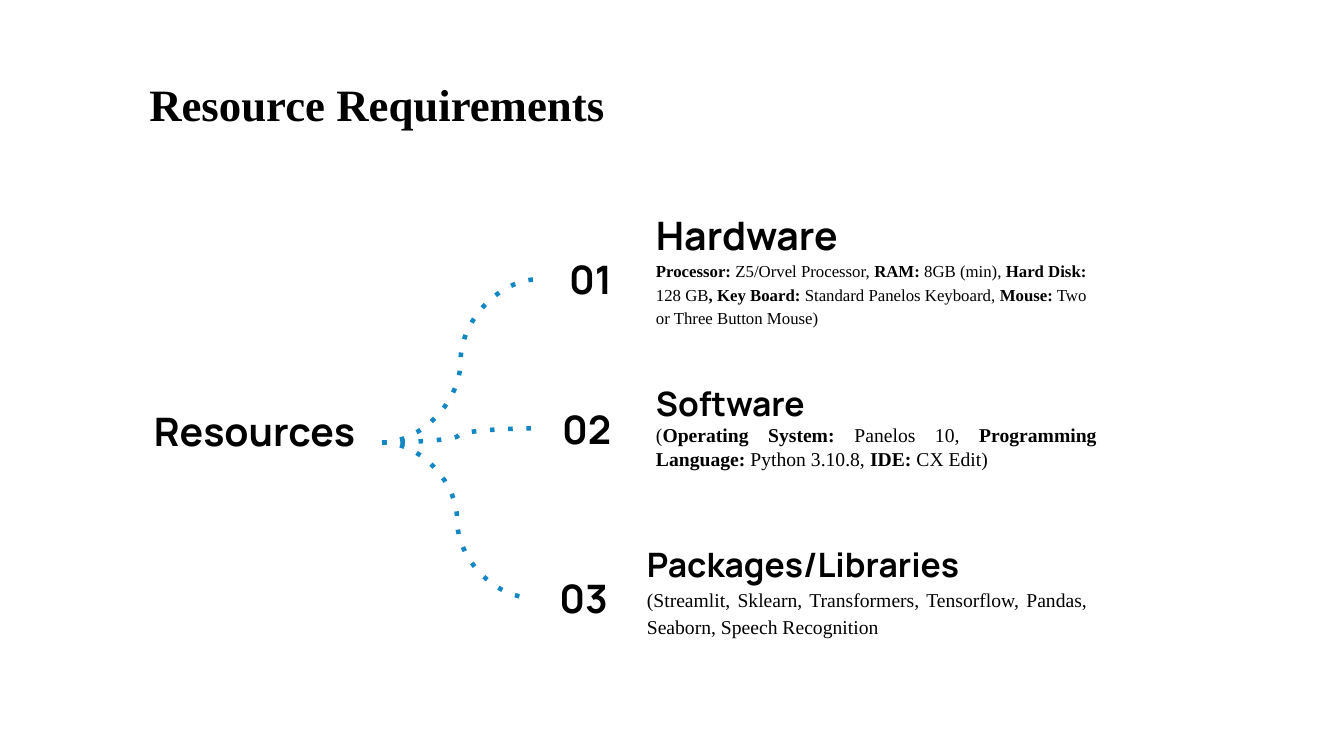
from collections import namedtuple

from lxml import etree
from pptx import Presentation
from pptx.dml.color import RGBColor
from pptx.enum.shapes import MSO_CONNECTOR, MSO_SHAPE
from pptx.enum.dml import MSO_LINE
from pptx.enum.text import MSO_ANCHOR, MSO_AUTO_SIZE, PP_ALIGN
from pptx.oxml.ns import qn
from pptx.util import Pt

CURVE = MSO_CONNECTOR.CURVE
OVAL = MSO_SHAPE.OVAL
DOTS = MSO_LINE.ROUND_DOT
TOP, MIDDLE, BOTTOM = MSO_ANCHOR.TOP, MSO_ANCHOR.MIDDLE, MSO_ANCHOR.BOTTOM
LEFT, CENTER, JUSTIFY = PP_ALIGN.LEFT, PP_ALIGN.CENTER, PP_ALIGN.JUSTIFY
NO_FIT = MSO_AUTO_SIZE.NONE

SERIF, SANS = "Times New Roman", "Manrope"
BLACK, BLUE = "000000", "1287C3"
INSET = 7.2

Box = namedtuple("Box", "left top width height")
Resource = namedtuple(
    "Resource",
    "number number_box detail_box heading heading_size heading_align"
    " spans size align spacing bottom_inset",
)

TITLE_BOX = Box(99.4, 28.1, 741.6, 59.8)
ROOT_BOX = Box(90.7, 278.6, 182.2, 74.9)

RESOURCES = [
    Resource(
        "01", Box(385.2, 167, 73.4, 64.8), Box(461.5, 141.8, 329, 99.4),
        "Hardware", 28, LEFT,
        [("Processor: ", True), ("Z5/Orvel Processor, ", False), ("RAM:", True),
         (" 8GB (min), ", False), ("Hard Disk: ", True), ("128 GB", False),
         (", Key Board:", True), (" Standard Panelos Keyboard, ", False),
         ("Mouse:", True), (" Two or Three Button Mouse)", False)],
        12, LEFT, 1.15, INSET,
    ),
    Resource(
        "02", Box(382.3, 273.6, 73.4, 64.8), Box(461.5, 268.6, 329, 86.4),
        "Software", 24, LEFT,
        [("(", False), ("Operating System: ", True), ("Panelos 10, ", False),
         ("Programming Language: ", True), ("Python 3.10.8, ", False),
         ("IDE: ", True), ("CX Edit)", False)],
        14, JUSTIFY, 1.0, 19,
    ),
    Resource(
        "03", Box(380.2, 394.6, 73.4, 64.8), Box(455, 383.8, 329, 93.6),
        "Packages/Libraries", 24, JUSTIFY,
        [("(Streamlit, Sklearn, Transformers, Tensorflow, Pandas, Seaborn, "
          "Speech Recognition", False)],
        14, JUSTIFY, 1.15, 21.5,
    ),
]


def color(value):
    return RGBColor.from_string(value)


def points(box):
    return [Pt(value) for value in box]


def set_frame(frame, anchor, bottom_inset=INSET):
    frame.word_wrap = True
    frame.auto_size = NO_FIT
    frame.vertical_anchor = anchor
    frame.margin_left = frame.margin_right = frame.margin_top = Pt(INSET)
    frame.margin_bottom = Pt(bottom_inset)


def write(para, spans, size, font, align=LEFT, spacing=1.0):
    para.alignment = align
    para.line_spacing = spacing
    para.space_before = para.space_after = Pt(0)
    for text, bold in spans:
        span = para.add_run()
        span.text = text
        span.font.size = Pt(size)
        span.font.name = font
        span.font.bold = bold
        span.font.color.rgb = color(BLACK)


def add_title(page, box):
    title = page.shapes.title
    title.left, title.top, title.width, title.height = points(box)
    set_frame(title.text_frame, TOP)
    write(title.text_frame.paragraphs[0], [("Resource Requirements", True)],
          32, SERIF, spacing=1.5)


def add_root(page, box):
    frame = page.shapes.add_textbox(*points(box)).text_frame
    set_frame(frame, TOP)
    write(frame.paragraphs[0], [("Resources", True)], 28, SANS, CENTER, 1.15)


def add_number(page, box, number):
    oval = page.shapes.add_shape(OVAL, *points(box))
    oval.shadow.inherit = False
    oval.fill.background()
    oval.line.fill.background()
    set_frame(oval.text_frame, MIDDLE)
    write(oval.text_frame.paragraphs[0], [(number, True)], 28, SANS, CENTER)


def add_detail(page, box, resource):
    frame = page.shapes.add_textbox(*points(box)).text_frame
    set_frame(frame, BOTTOM, resource.bottom_inset)
    write(frame.paragraphs[0], [(resource.heading, True)], resource.heading_size,
          SANS, resource.heading_align, 1.15)
    write(frame.add_paragraph(), resource.spans, resource.size, SERIF,
          resource.align, resource.spacing)


def add_branch(page, root, target):
    branch = page.shapes.add_connector(
        CURVE,
        Pt(root.left + root.width), Pt(root.top + root.height / 2),
        Pt(target.left), Pt(target.top + target.height / 2),
    )
    branch.line.color.rgb = color(BLUE)
    branch.line.width = Pt(3.25)
    branch.line.dash_style = DOTS
    properties = branch._element.spPr
    properties.find(".//" + qn("a:prstDash")).set("val", "dot")
    etree.SubElement(properties, qn("a:effectLst"))


def main():
    deck = Presentation()
    deck.slide_width, deck.slide_height = Pt(960), Pt(540)
    page = deck.slides.add_slide(deck.slide_layouts.get_by_name("Title Only"))
    add_title(page, TITLE_BOX)
    add_root(page, ROOT_BOX)
    for resource in RESOURCES:
        add_number(page, resource.number_box, resource.number)
        add_detail(page, resource.detail_box, resource)
        add_branch(page, ROOT_BOX, resource.number_box)
    deck.save("out.pptx")


if __name__ == "__main__":
    main()
